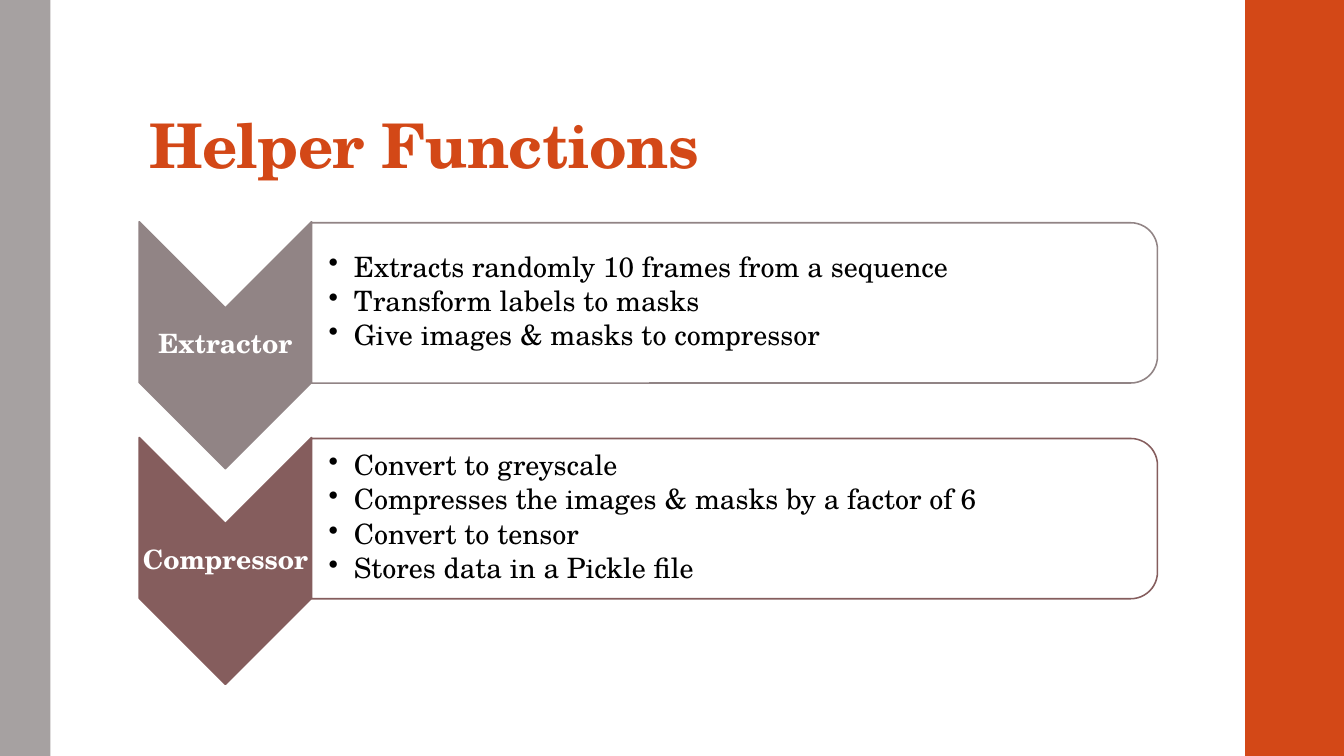
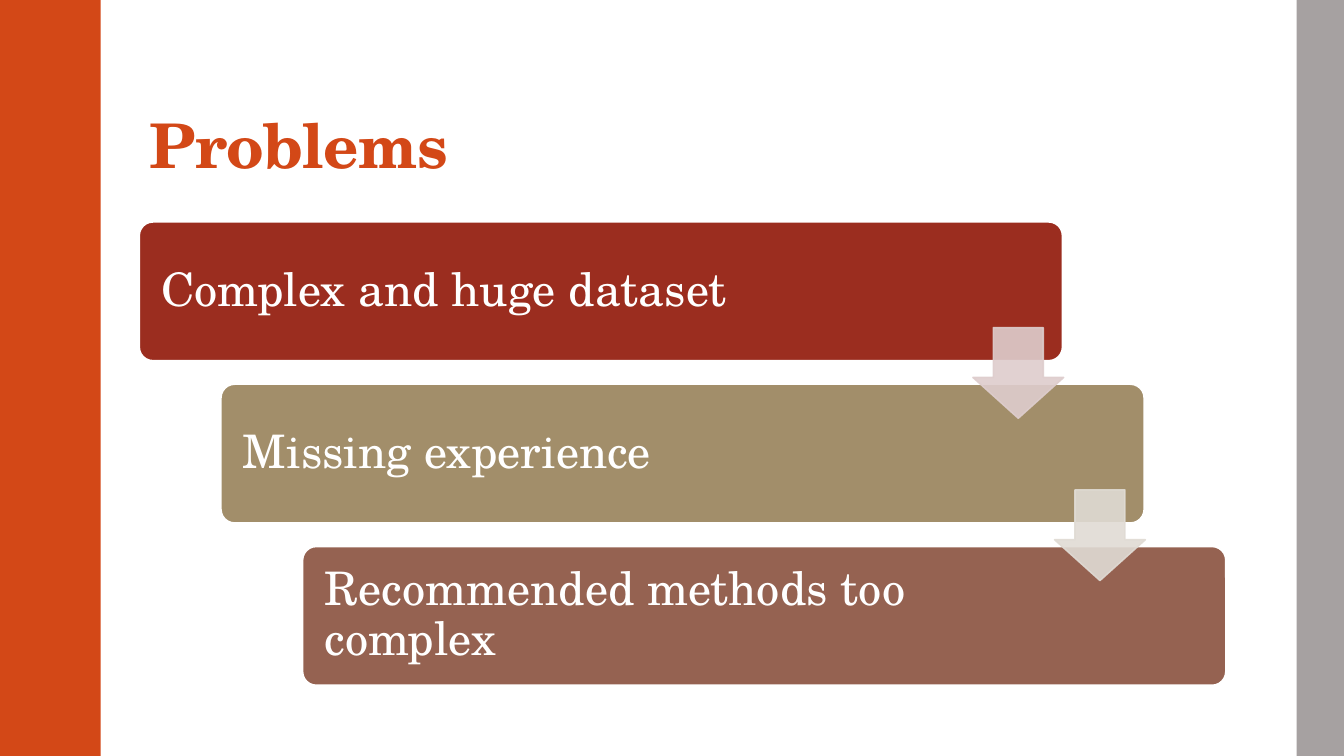
from pptx import Presentation
from pptx.dml.color import RGBColor
from pptx.enum.shapes import MSO_SHAPE
from pptx.enum.text import MSO_ANCHOR, PP_ALIGN
from pptx.oxml.ns import qn
from pptx.util import Emu, Pt
from lxml import etree

RECT, ROUND = MSO_SHAPE.RECTANGLE, MSO_SHAPE.ROUNDED_RECTANGLE
CHEVRON, TAB = MSO_SHAPE.CHEVRON, MSO_SHAPE.ROUND_2_SAME_RECTANGLE
ARROW = MSO_SHAPE.DOWN_ARROW
LEFT, CENTER = PP_ALIGN.LEFT, PP_ALIGN.CENTER
MIDDLE, BOTTOM = MSO_ANCHOR.MIDDLE, MSO_ANCHOR.BOTTOM

# Content
HELPERS = {
    "title": "Helper Functions",
    "rows": [
        ("Extractor", "918485", [
            "Extracts randomly 10 frames from a sequence",
            "Transform labels to masks",
            "Give images & masks to compressor",
        ]),
        ("Compressor", "855D5D", [
            "Convert to greyscale",
            "Compresses the images & masks by a factor of 6",
            "Convert to tensor",
            "Stores data in a Pickle file",
        ]),
    ],
}
PROBLEMS = {
    "title": "Problems",
    "cards": [
        ("Complex and huge dataset", "9B2D1F"),
        ("Missing experience", "A28E6A"),
        ("Recommended methods too complex", "956251"),
    ],
    "arrows": ["DECDCD", "E0DBD4"],
}

# Theme: colours, type sizes in points, lengths in px (100 to the inch)
THEME = {
    "font": "TeX Gyre Schola",
    "accent": "D34817", "grey": "A6A1A1", "white": "FFFFFF", "black": "000000",
    "title": 44, "card": 33, "bullet": 20, "label": 19,
    "spacing": 0.9, "line": 1.1, "card_line": 1.35,
}
W, H = 1333, 750
SCALE = 9144


def px(n):
    return Emu(round(n * SCALE))


def rgb(value):
    return RGBColor.from_string(value)


def put_text(shape, lines, size, color, bold=False, align=LEFT, anchor=MIDDLE,
             insets=(1, 1, 1, 1), bullet=False, after=0, tracking=None):
    """Fill a shape with one paragraph per line."""
    tf = shape.text_frame
    tf.word_wrap = True
    tf.vertical_anchor = anchor
    tf.margin_left, tf.margin_top, tf.margin_right, tf.margin_bottom = map(px, insets)
    for i, line in enumerate(lines):
        p = tf.add_paragraph() if i else tf.paragraphs[0]
        p.alignment = align
        p.line_spacing = THEME["spacing"]
        p.space_before, p.space_after = Pt(0), Pt(after)
        r = p.add_run()
        r.text = line
        r.font.name, r.font.size, r.font.bold = THEME["font"], Pt(size), bold
        r.font.color.rgb = rgb(color)
        if tracking is not None:
            r.font._element.set("spc", str(tracking))
        if bullet:
            pPr = p._p.get_or_add_pPr()
            pPr.set("marL", str(px(25)))
            pPr.set("indent", str(-px(25)))
            etree.SubElement(pPr, qn("a:buChar")).set("char", "•")


def add_box(s, kind, x, y, w, h, fill, line=None, weight=THEME["line"],
            adjust=(), opacity=100):
    sp = s.shapes.add_shape(kind, px(x), px(y), px(w), px(h))
    sp.shadow.inherit = False
    sp.fill.solid()
    sp.fill.fore_color.rgb = rgb(fill)
    if line:
        sp.line.color.rgb = rgb(line)
        sp.line.width = Pt(weight)
    else:
        sp.line.fill.background()
    for i, value in enumerate(adjust):
        sp.adjustments[i] = value
    if opacity < 100:
        for clr in sp._element.spPr.iter(qn("a:srgbClr")):
            etree.SubElement(clr, qn("a:alpha")).set("val", str(opacity * 1000))
    return sp


def add_turned(s, kind, x, y, w, h, fill, line):
    """Add a shape turned by 90 degrees that covers x, y, w, h as seen."""
    sp = add_box(s, kind, x + (w - h) / 2, y + (h - w) / 2, h, w, fill, line)
    sp.rotation = 90


def add_label(s, x, y, w, h, lines, **style):
    put_text(s.shapes.add_textbox(px(x), px(y), px(w), px(h)), lines, **style)


def add_slide(prs, title, accent_x, grey_x):
    """Start a slide with its title and the two side bands."""
    s = prs.slides.add_slide(prs.slide_layouts[5])
    for x, width, color in ((accent_x, 100, "accent"), (grey_x, 50, "grey")):
        add_box(s, RECT, x, 0, min(width, W - x), H, THEME[color])
    t = s.shapes.title
    t.left, t.top, t.width, t.height = px(138), px(32), px(1060), px(153)
    put_text(t, [title], THEME["title"], THEME["accent"], bold=True,
             anchor=BOTTOM, insets=(10, 3, 10, 5), tracking=-50)
    return s


def build_helpers(prs):
    s = add_slide(prs, HELPERS["title"], accent_x=1235, grey_x=0)
    left, top, pitch = 138, 220, 214
    chevron_w, chevron_h, panel_w, panel_h = 171, 245, 839, 159
    for i, (name, color, points) in enumerate(HELPERS["rows"]):
        y = top + i * pitch
        panel_x = left + chevron_w
        # Chevron and its name
        add_turned(s, CHEVRON, left, y, chevron_w, chevron_h, color, color)
        add_label(s, left, y + 86, chevron_w, 73, [name], size=THEME["label"],
                  color=THEME["white"], bold=True, align=CENTER)
        # Panel and its points
        add_turned(s, TAB, panel_x, y + 1, panel_w, panel_h, THEME["white"], color)
        add_label(s, panel_x + 1, y + 8, 831, 144, points, size=THEME["bullet"],
                  color=THEME["black"], insets=(16, 1, 1, 1), bullet=True, after=3)


def build_problems(prs):
    s = add_slide(prs, PROBLEMS["title"], accent_x=0, grey_x=1286)
    left, top, card_w, card_h = 138, 220, 916, 138
    step_x, step_y, arrow = 81, 161, 90
    # Staggered cards
    for i, (text, color) in enumerate(PROBLEMS["cards"]):
        sp = add_box(s, ROUND, left + i * step_x, top + i * step_y, card_w, card_h,
                     color, THEME["white"], THEME["card_line"], adjust=[0.1])
        put_text(sp, [text], THEME["card"], THEME["white"], insets=(18, 14, 188, 14))
    # Arrows from each card to the next
    for i, color in enumerate(PROBLEMS["arrows"]):
        add_box(s, ARROW, left + card_w + 1 - arrow + i * step_x,
                top + 105 + i * step_y, arrow, arrow, color, color,
                adjust=[0.55, 0.45], opacity=90)


def main():
    prs = Presentation()
    prs.slide_width, prs.slide_height = px(W), px(H)
    build_helpers(prs)
    build_problems(prs)
    prs.save("out.pptx")


if __name__ == "__main__":
    main()
